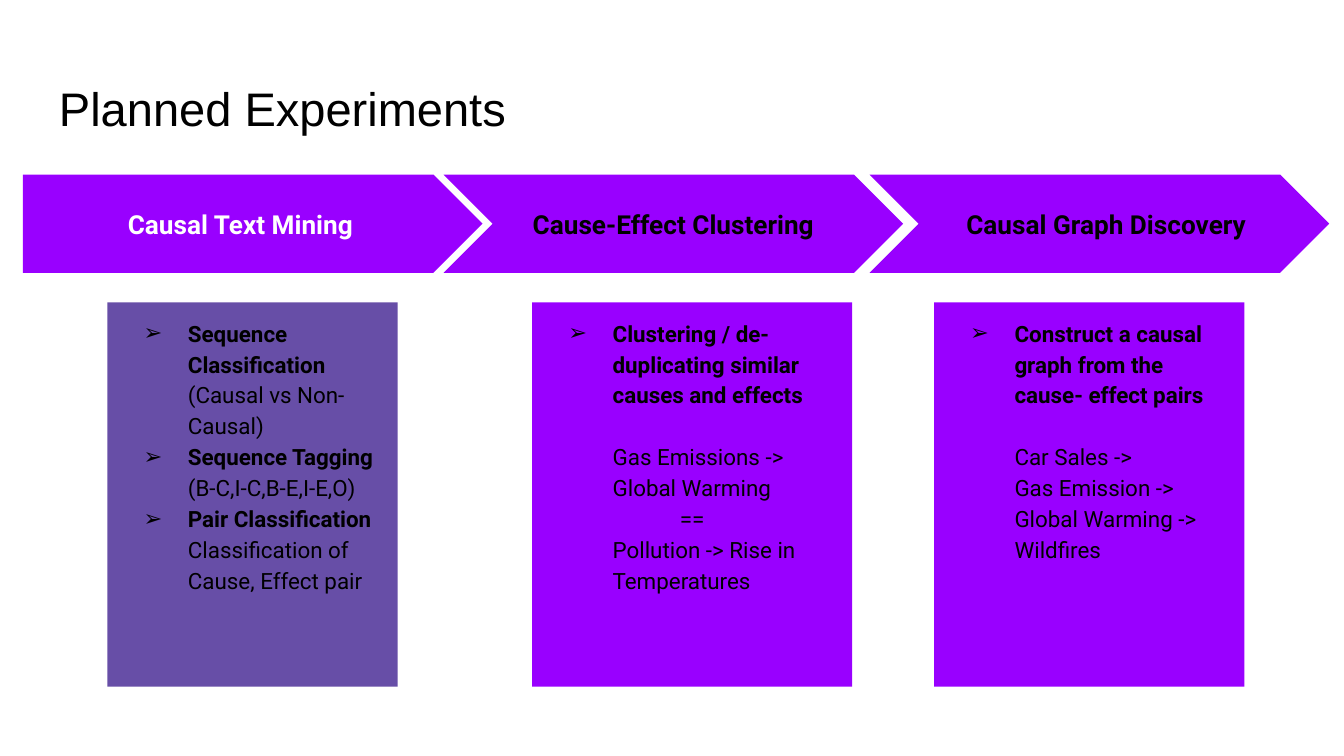
from lxml import etree
from pptx import Presentation
from pptx.dml.color import RGBColor
from pptx.enum.shapes import MSO_SHAPE
from pptx.enum.text import MSO_ANCHOR, PP_ALIGN
from pptx.oxml.ns import qn
from pptx.util import Inches, Pt

PENTAGON, CHEVRON, RECTANGLE = MSO_SHAPE.PENTAGON, MSO_SHAPE.CHEVRON, MSO_SHAPE.RECTANGLE
TOP, MIDDLE = MSO_ANCHOR.TOP, MSO_ANCHOR.MIDDLE
LEFT, CENTER = PP_ALIGN.LEFT, PP_ALIGN.CENTER

BLACK = RGBColor(0x00, 0x00, 0x00)
WHITE = RGBColor(0xFF, 0xFF, 0xFF)
VIOLET = RGBColor(0x99, 0x00, 0xFF)
MUTED_PURPLE = RGBColor(0x67, 0x4E, 0xA7)

PAGE_WIDTH = 10
PAGE_HEIGHT = PAGE_WIDTH * 9 / 16
ARROW_TOP, ARROW_WIDTH, ARROW_HEIGHT = 1.3, 3.42, 0.73
PANEL_TOP, PANEL_HEIGHT = 2.25, 2.86
INSET = 0.1
BLANK_LINE = 16.5
BODY_FONT = "Roboto"
BULLET = "➢"


def bulleted(*spans):
    return {"spans": spans, "margin": 0.5, "indent": -0.33, "bullet": True}


def plain(text, margin=0.5, indent=0, before=0):
    return {"spans": [(text, False)], "margin": margin, "indent": indent, "before": before}


STAGES = [
    {
        "arrow": (PENTAGON, 0.17, "Causal Text Mining", WHITE, INSET),
        "panel": (0.8, 2.16, MUTED_PURPLE),
        "body": [
            bulleted(("Sequence Classification", True), (" (Causal vs Non-Causal)", False)),
            bulleted(("Sequence Tagging", True), (" (B-C,I-C,B-E,I-E,O)", False)),
            bulleted(("Pair Classification ", True), ("Classification of Cause, Effect pair", False)),
        ],
    },
    {
        "arrow": (CHEVRON, 3.3, "Cause-Effect Clustering", BLACK, INSET),
        "panel": (3.96, 2.38, VIOLET),
        "body": [
            bulleted(("Clustering / de-duplicating similar causes and effects", True)),
            plain("Gas Emissions -> Global Warming", before=BLANK_LINE),
            plain("==", indent=0.5),
            plain("Pollution -> Rise in Temperatures"),
        ],
    },
    {
        "arrow": (CHEVRON, 6.47, "Causal Graph Discovery", BLACK, 0.2),
        "panel": (6.95, 2.31, VIOLET),
        "body": [
            bulleted(("Construct a causal graph from the cause- effect pairs", True)),
            plain("Car Sales ->", margin=0, indent=0.5, before=BLANK_LINE),
            plain("Gas Emission ->", margin=0, indent=0.5),
            plain("Global Warming -> Wildfires"),
        ],
    },
]


def prepare_frame(shape, anchor=TOP, left_inset=INSET):
    frame = shape.text_frame
    frame.word_wrap = True
    frame.vertical_anchor = anchor
    frame.margin_left = Inches(left_inset)
    frame.margin_right = frame.margin_top = frame.margin_bottom = Inches(INSET)
    return frame


def add_span(para, text, size=12, font=BODY_FONT, color=BLACK, bold=False):
    span = para.add_run()
    span.text = text
    span.font.size = Pt(size)
    span.font.name = font
    span.font.color.rgb = color
    span.font.bold = bold


def add_block(page, kind, area, fill):
    shape = page.shapes.add_shape(kind, *map(Inches, area))
    shape.shadow.inherit = False
    shape.fill.solid()
    shape.fill.fore_color.rgb = fill
    shape.line.fill.background()
    return shape


def format_para(para, margin, indent, before=0, bullet=False):
    para.alignment = LEFT
    para.line_spacing = 1.15
    para.space_before = Pt(before)
    properties = para._p.get_or_add_pPr()
    properties.set("marL", str(Inches(margin)))
    properties.set("indent", str(Inches(indent)))
    if bullet:
        color = etree.SubElement(properties, qn("a:buClr"))
        etree.SubElement(color, qn("a:srgbClr")).set("val", str(BLACK))
        etree.SubElement(properties, qn("a:buFont")).set("typeface", BODY_FONT)
        etree.SubElement(properties, qn("a:buChar")).set("char", BULLET)


def add_title(page, area):
    box = page.shapes.add_textbox(*map(Inches, area))
    frame = prepare_frame(box)
    add_span(frame.paragraphs[0], "Planned Experiments", size=25.2, font="Arial")


def add_arrow(page, area, kind, text, color, left_inset):
    shape = add_block(page, kind, area, VIOLET)
    shape.adjustments[0] = 0.5
    para = prepare_frame(shape, MIDDLE, left_inset).paragraphs[0]
    para.alignment = CENTER
    add_span(para, text, size=14, color=color, bold=True)


def add_panel(page, area, fill, body):
    frame = prepare_frame(add_block(page, RECTANGLE, area, fill))
    for index, entry in enumerate(body):
        para = frame.add_paragraph() if index else frame.paragraphs[0]
        layout = {key: value for key, value in entry.items() if key != "spans"}
        format_para(para, **layout)
        for text, bold in entry["spans"]:
            add_span(para, text, bold=bold)


def add_stage(page, stage):
    kind, left, text, color, left_inset = stage["arrow"]
    add_arrow(page, (left, ARROW_TOP, ARROW_WIDTH, ARROW_HEIGHT), kind, text, color, left_inset)
    left, width, fill = stage["panel"]
    add_panel(page, (left, PANEL_TOP, width, PANEL_HEIGHT), fill, stage["body"])


def main():
    deck = Presentation()
    deck.slide_width, deck.slide_height = Inches(PAGE_WIDTH), Inches(PAGE_HEIGHT)
    page = deck.slides.add_slide(deck.slide_layouts[6])
    add_title(page, (0.34, 0.49, 9.32, 0.63))
    for stage in STAGES:
        add_stage(page, stage)
    deck.save("out.pptx")


if __name__ == "__main__":
    main()
